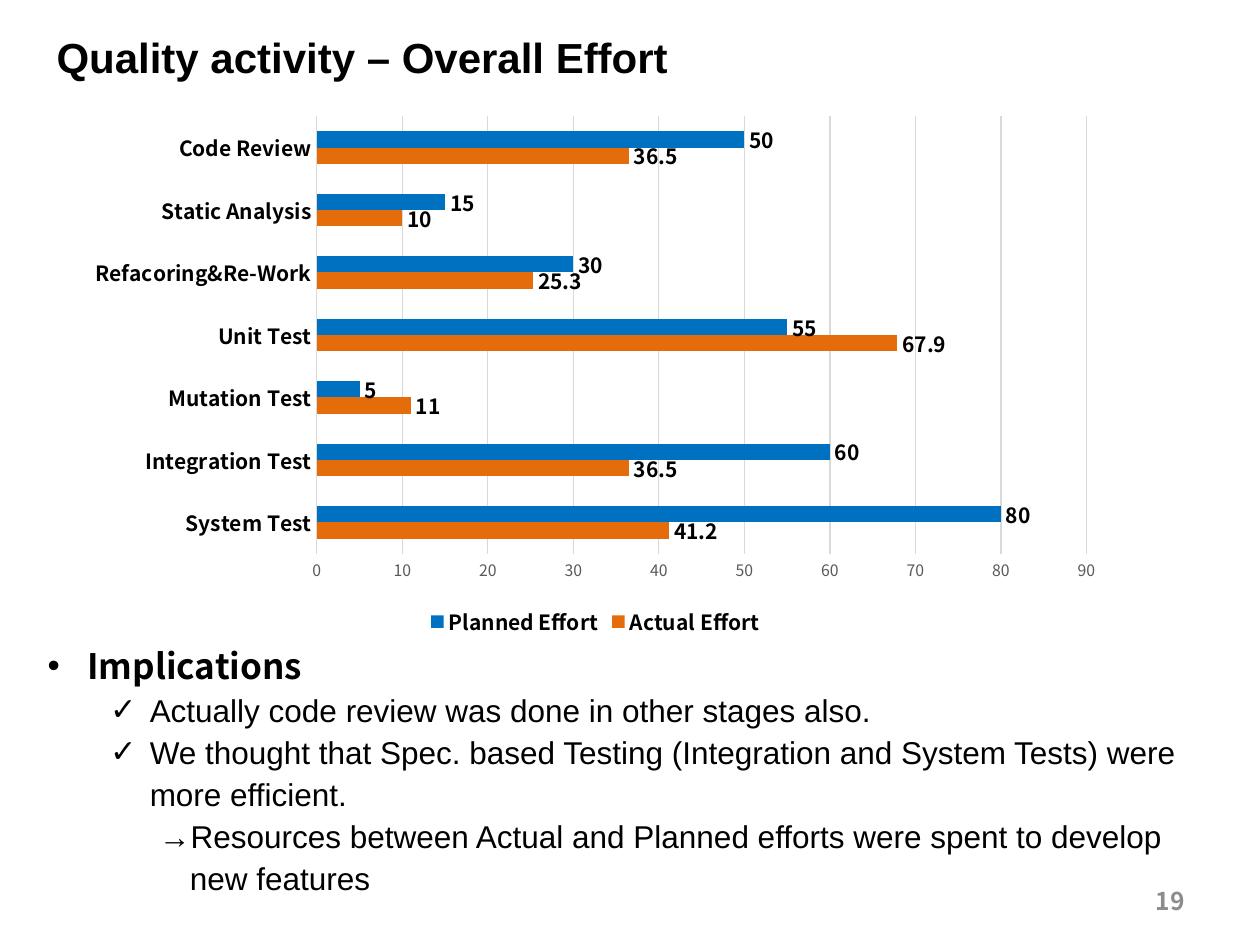
import pptx
import pptx.chart.data
import pptx.dml.color
import pptx.enum.chart
import pptx.enum.text
import pptx.util
from lxml import etree
from pptx.util import Cm, Pt

SANS = "Arial"
KOREAN = "Noto Sans CJK KR"


def set_font(font, size, name, color="000000", bold=False):
    font.size = Pt(size)
    font.name = name
    font.bold = bold
    font.color.rgb = pptx.dml.color.RGBColor.from_string(color)


def add_text_box(left, top, width, height):
    shape = slide.shapes.add_textbox(Cm(left), Cm(top), Cm(width), Cm(height))
    shape.text_frame.word_wrap = True
    return shape.text_frame


presentation = pptx.Presentation()
presentation.slide_width = Cm(25.4)
presentation.slide_height = Cm(19.05)
slide = presentation.slides.add_slide(presentation.slide_layouts[6])

# Slide number
text_frame = add_text_box(18.21, 17.65, 5.92, 1.02)
text_frame.vertical_anchor = pptx.enum.text.MSO_ANCHOR.MIDDLE
paragraph = text_frame.paragraphs[0]
paragraph.text = "19"
paragraph.alignment = pptx.enum.text.PP_ALIGN.RIGHT
set_font(paragraph.font, 14, KOREAN, "8C8C8C", True)

# Title
paragraph = add_text_box(0.89, 0.51, 18.21, 1.27).paragraphs[0]
paragraph.text = "Quality activity – Overall Effort"
set_font(paragraph.font, 24, SANS, bold=True)

# Effort chart
chart_data = pptx.chart.data.CategoryChartData()
chart_data.categories = [
    "System Test", "Integration Test", "Mutation Test", "Unit Test",
    "Refacoring&Re-Work", "Static Analysis", "Code Review",
]
chart_data.add_series("Actual Effort", [41.2, 36.5, 11, 67.9, 25.3, 10, 36.5])
chart_data.add_series("Planned Effort", [80, 60, 5, 55, 30, 15, 50])
chart = slide.shapes.add_chart(
    pptx.enum.chart.XL_CHART_TYPE.BAR_CLUSTERED,
    Cm(1.5), Cm(2.13), Cm(21), Cm(10.82), chart_data,
).chart
set_font(chart.font, 10, KOREAN)
chart.has_title = False
chart.has_legend = True
chart.legend.position = pptx.enum.chart.XL_LEGEND_POSITION.BOTTOM
chart.legend.include_in_layout = False
set_font(chart.legend.font, 12, KOREAN, bold=True)

# Axes and gridlines
category_axis, value_axis = chart.category_axis, chart.value_axis
for axis in (category_axis, value_axis):
    axis.major_tick_mark = pptx.enum.chart.XL_TICK_MARK.NONE
    axis.minor_tick_mark = pptx.enum.chart.XL_TICK_MARK.NONE
set_font(category_axis.tick_labels.font, 12, KOREAN, bold=True)
set_font(value_axis.tick_labels.font, 9, KOREAN, "595959")
value_axis.format.line.fill.background()
for line in (category_axis.format.line, value_axis.major_gridlines.format.line):
    line.width = Pt(0.75)
    line.color.rgb = pptx.dml.color.RGBColor.from_string("D9D9D9")

# Bars and value labels
plot = chart.plots[0]
plot.gap_width = 182
plot.overlap = 0
plot.vary_by_categories = False
for series, color in zip(plot.series, ("E46C0A", "0070C0")):
    series.format.fill.solid()
    series.format.fill.fore_color.rgb = pptx.dml.color.RGBColor.from_string(color)
    labels = series.data_labels
    labels.show_value = True
    labels.position = pptx.enum.chart.XL_LABEL_POSITION.OUTSIDE_END
    set_font(labels.font, 12, KOREAN, bold=True)

# Implications: text, level, left margin, first-line indent, bullet
implications = [
    ("Implications", 0, 0.8, -0.8, "•"),
    ("Actually code review was done in other stages also.", 1, 2.06, -0.8, "✓"),
    ("We thought that Spec. based Testing (Integration and System Tests) "
     "were more efficient.", 1, 2.06, -0.8, "✓"),
    ("→Resources between Actual and Planned efforts were spent to develop",
     1, 2.25, 0, None),
    ("new features", 1, 2.87, 0, None),
]
text_frame = add_text_box(0.71, 12.62, 24.69, 5.64)
for index, (text, level, margin, indent, bullet) in enumerate(implications):
    paragraph = text_frame.paragraphs[0] if index == 0 else text_frame.add_paragraph()
    paragraph.text = text
    paragraph.level = level
    paragraph.line_spacing = Pt(24) if level else 1.3
    properties = paragraph._p.get_or_add_pPr()
    properties.set("marL", str(Cm(margin)))
    properties.set("indent", str(Cm(indent)))
    if bullet:
        namespace = pptx.oxml.ns.qn("a:buChar")
        etree.SubElement(properties, pptx.oxml.ns.qn("a:buFont"), typeface=SANS)
        etree.SubElement(properties, namespace, char=bullet)
    if level:
        set_font(paragraph.font, 18, SANS)
    else:
        set_font(paragraph.font, 20, KOREAN, bold=True)

presentation.save("out.pptx")
